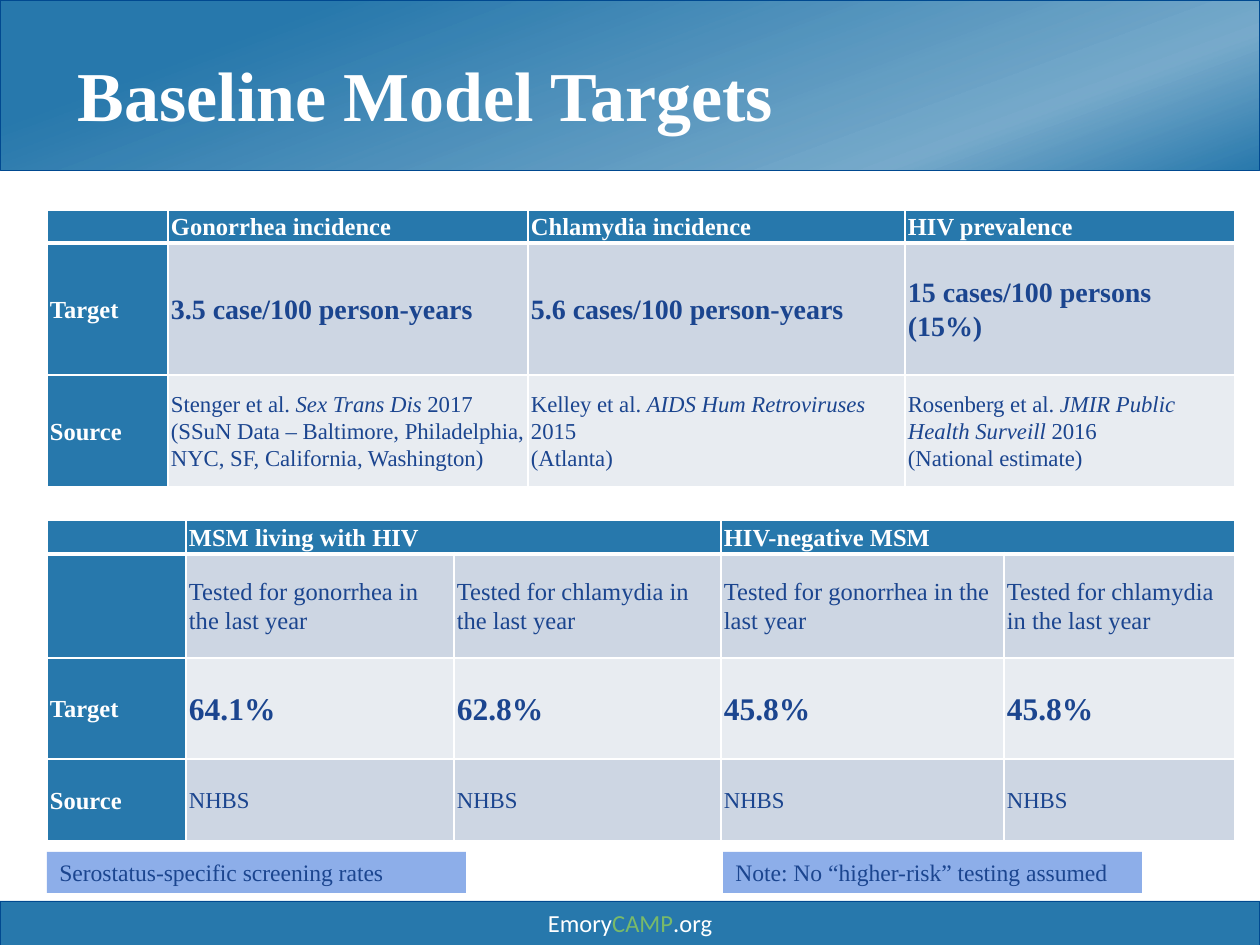
from lxml import etree
from pptx import Presentation
from pptx.dml.color import RGBColor
from pptx.enum.shapes import MSO_SHAPE
from pptx.enum.text import MSO_ANCHOR, MSO_AUTO_SIZE, PP_ALIGN
from pptx.oxml import parse_xml
from pptx.oxml.ns import qn
from pptx.util import Pt

PX = 914400 / 126
RECT = MSO_SHAPE.RECTANGLE
MIDDLE, TOP = MSO_ANCHOR.MIDDLE, MSO_ANCHOR.TOP
LEFT, CENTER = PP_ALIGN.LEFT, PP_ALIGN.CENTER
NO_FIT = MSO_AUTO_SIZE.NONE
BLUE, NAVY, EDGE, WHITE = "2778AC", "1B458F", "004990", "FFFFFF"
BANDS = ["CDD6E3", "E8ECF1"]
SERIF = "Times New Roman"
DRAWING = "http://schemas.openxmlformats.org/drawingml/2006/main"


def emu(*lengths):
    """Turn px lengths into EMU."""
    return [round(length * PX) for length in lengths]


def set_font(font, name, size, color, bold=False):
    font.name, font.size, font.bold = name, Pt(size), bold
    font.color.rgb = RGBColor.from_string(color)


deck = Presentation()
deck.slide_width, deck.slide_height = emu(1260, 945)
page = deck.slides.add_slide(deck.slide_layouts[5])

# Rectangles: banner, footer and the two labels
rectangles = []
for box, fill, line in [
    ((0, 0, 1260, 170), BLUE, EDGE),
    ((0, 901, 1260, 44), BLUE, EDGE),
    ((47, 852, 419, 41), "8DAEE9", None),
    ((723, 852, 419, 41), "8DAEE9", None),
]:
    shape = page.shapes.add_shape(RECT, *emu(*box))
    shape.shadow.inherit = False
    shape.fill.solid()
    shape.fill.fore_color.rgb = RGBColor.from_string(fill)
    if line:
        shape.line.color.rgb = RGBColor.from_string(line)
        shape.line.width = Pt(0.5)
    else:
        shape.line.fill.background()
    rectangles.append(shape)
banner, footer, *labels = rectangles

# Banner gradient with a translucent band
banner_fill = banner.element.spPr.find(qn("a:solidFill"))
banner_fill.getparent().replace(banner_fill, parse_xml(
    f'<a:gradFill xmlns:a="{DRAWING}" rotWithShape="1"><a:gsLst>'
    f'<a:gs pos="19000"><a:srgbClr val="{BLUE}"/></a:gs>'
    f'<a:gs pos="78000"><a:srgbClr val="{BLUE}"><a:alpha val="62000"/></a:srgbClr></a:gs>'
    f'<a:gs pos="100000"><a:srgbClr val="{BLUE}"/></a:gs>'
    '</a:gsLst><a:lin ang="4200000" scaled="0"/></a:gradFill>'))

# Title, placed in front of the banner
title = page.shapes.title
banner.element.addnext(title.element)
title.left, title.top, title.width, title.height = emu(69, 79, 1086, 39)
frame = title.text_frame
frame.text = "Baseline Model Targets"
frame.word_wrap, frame.auto_size, frame.vertical_anchor = True, NO_FIT, MIDDLE
frame.margin_left, frame.margin_right, frame.margin_top, frame.margin_bottom = emu(9, 9, 5, 5)
para = frame.paragraphs[0]
para.alignment, para.line_spacing = LEFT, 0.9
set_font(para.font, SERIF, 40, WHITE, True)

# Footer and label text
footer.text_frame.vertical_anchor = MIDDLE
para = footer.text_frame.paragraphs[0]
para.alignment = CENTER
for text, color in [("Emory", WHITE), ("CAMP", "79BA69"), (".org", WHITE)]:
    span = para.add_run()
    span.text = text
    set_font(span.font, "Calibri", 14, color)

for label, text in zip(labels, ["Serostatus-specific screening rates",
                                "Note: No “higher-risk” testing assumed"]):
    label.text_frame.text = text
    label.text_frame.vertical_anchor = TOP
    para = label.text_frame.paragraphs[0]
    para.alignment = LEFT
    set_font(para.font, SERIF, 13.5, NAVY)

# Tables: *...* marks italics, a line break starts a new paragraph.
# Body styles give size and weight for each row below the header.
tables = [
    dict(top=210, columns=[121, 360, 377, 330], rows=[33, 132, 112],
         styles=[(16, True), (13, False)], merges=[],
         cells=[
             ["", "Gonorrhea incidence", "Chlamydia incidence", "HIV prevalence"],
             ["Target", "3.5 case/100 person-years", "5.6 cases/100 person-years",
              "15 cases/100 persons (15%)"],
             ["Source",
              "Stenger et al. *Sex Trans Dis* 2017\n"
              "(SSuN Data – Baltimore, Philadelphia, NYC, SF, California, Washington)",
              "Kelley et al. *AIDS Hum Retroviruses* 2015\n(Atlanta)",
              "Rosenberg et al. *JMIR Public Health Surveill *2016\n(National estimate)"],
         ]),
    dict(top=520, columns=[139, 268, 267, 283, 231], rows=[34, 104, 101, 82],
         styles=[(14, False), (18, True), (13, False)], merges=[(1, 2), (3, 4)],
         cells=[
             ["", "MSM living with HIV", "", "HIV-negative MSM", ""],
             [""] + ["Tested for gonorrhea in the last year",
                     "Tested for chlamydia in the last year"] * 2,
             ["Target", "64.1%", "62.8%", "45.8%", "45.8%"],
             ["Source"] + ["NHBS"] * 4,
         ]),
]
for data in tables:
    columns, rows = data["columns"], data["rows"]
    table = page.shapes.add_table(
        len(rows), len(columns),
        *emu(47, data["top"], sum(columns), sum(rows))).table
    for column, width in zip(table.columns, emu(*columns)):
        column.width = width
    for row, height in zip(table.rows, emu(*rows)):
        row.height = height
    for r, texts in enumerate(data["cells"]):
        for c, text in enumerate(texts):
            cell = table.cell(r, c)
            heading = r == 0 or c == 0
            size, bold = (14, True) if heading else data["styles"][r - 1]
            color, fill = (WHITE, BLUE) if heading else (NAVY, BANDS[(r - 1) % 2])
            cell.vertical_anchor = MIDDLE
            cell.margin_left, cell.margin_right, cell.margin_top, cell.margin_bottom = emu(3, 3, 0, 0)
            cell.text = text.replace("*", "")
            for para, line in zip(cell.text_frame.paragraphs, text.split("\n")):
                para.line_spacing = 1.07
                set_font(para.font, SERIF, size, color, bold)
                if "*" in line:
                    para.clear()
                    for i, part in enumerate(line.split("*")):
                        span = para.add_run()
                        span.text, span.font.italic = part, i % 2 == 1
                if not line:
                    etree.SubElement(para._p, qn("a:endParaRPr"), sz=str(size * 100))
            properties = cell._tc.get_or_add_tcPr()
            for side in "LRTB":
                thick = (r, side) in [(0, "B"), (1, "T")]
                properties.append(parse_xml(
                    f'<a:ln{side} xmlns:a="{DRAWING}" w="{Pt(3 if thick else 1)}">'
                    f'<a:solidFill><a:srgbClr val="{WHITE}"/></a:solidFill></a:ln{side}>'))
            cell.fill.solid()
            cell.fill.fore_color.rgb = RGBColor.from_string(fill)
    for first, last in data["merges"]:
        table.cell(0, first).merge(table.cell(0, last))

deck.save("out.pptx")
